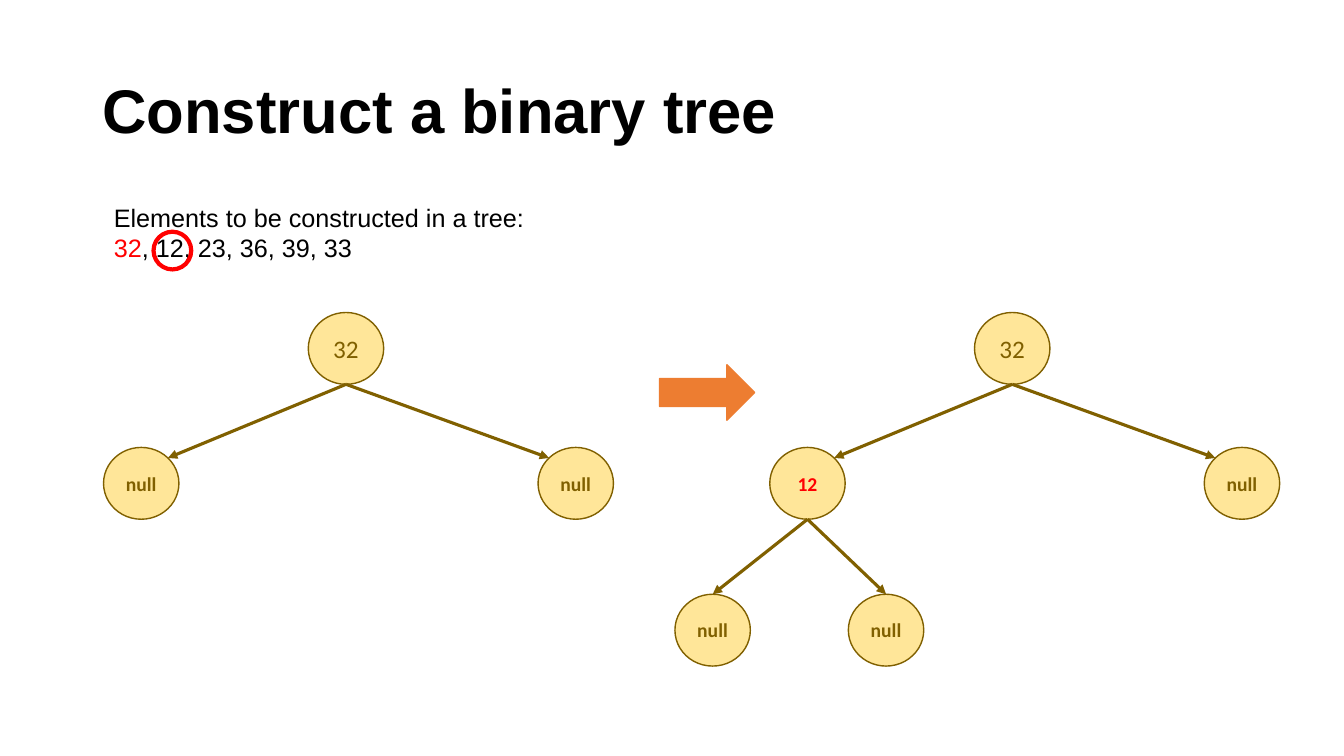
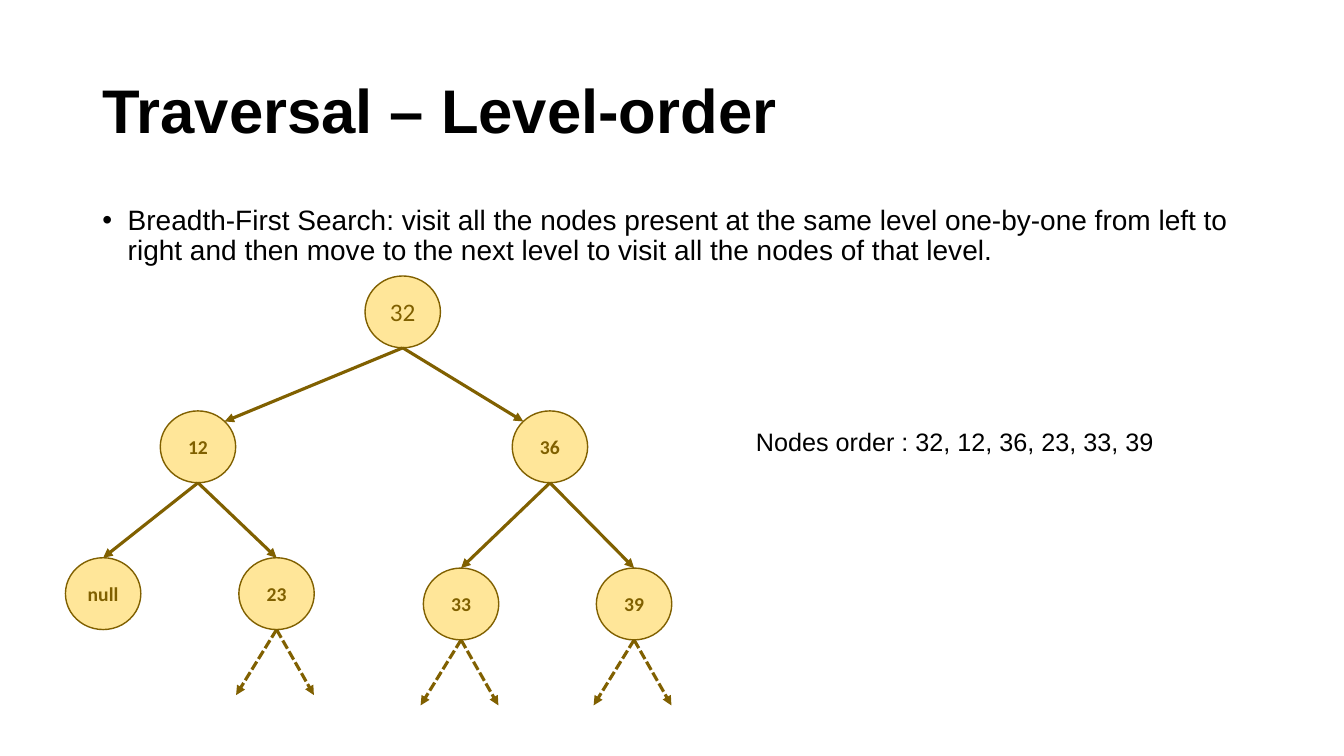
from dataclasses import dataclass

from lxml.etree import SubElement
from pptx import Presentation
from pptx.dml.color import RGBColor
from pptx.enum.dml import MSO_LINE
from pptx.enum.shapes import MSO_CONNECTOR, MSO_SHAPE
from pptx.enum.text import MSO_ANCHOR, PP_ALIGN
from pptx.oxml.ns import qn
from pptx.util import Cm, Pt

BLACK = RGBColor(0x00, 0x00, 0x00)
RED = RGBColor(0xFF, 0x00, 0x00)
OLIVE = RGBColor(0x80, 0x60, 0x00)
CREAM = RGBColor(0xFF, 0xE6, 0x99)
ORANGE = RGBColor(0xED, 0x7D, 0x31)

TEXT_FONT = "Arial"
NODE_FONT = "Calibri"

# Lengths in centimetres
CONTENT_LEFT, CONTENT_WIDTH = 2.33, 29.21
NODE_WIDTH, NODE_HEIGHT = 1.9, 1.81
DIAGONAL = 0.5 ** 0.5
STUB_LEFT, STUB_RIGHT, STUB_DROP = -1.02, 0.94, 1.65


@dataclass
class Node:
    """A tree node; across and down run from its parent's centre to its own."""
    label: str
    across: float = 0
    down: float = 0
    children: tuple = ()
    color: RGBColor = OLIVE
    stubs: bool = False


def add_run(paragraph, text, size, color=BLACK, bold=False, font=TEXT_FONT):
    run = paragraph.add_run()
    run.text = text
    run.font.name = font
    run.font.size = Pt(size)
    run.font.bold = bold
    run.font.color.rgb = color


def add_text_box(slide, left, top, width, height, wrap=True):
    shape = slide.shapes.add_textbox(Cm(left), Cm(top), Cm(width), Cm(height))
    shape.text_frame.word_wrap = wrap
    return shape.text_frame


def add_title(slide, text):
    frame = add_text_box(slide, CONTENT_LEFT, 1.02, CONTENT_WIDTH, 3.68)
    frame.vertical_anchor = MSO_ANCHOR.MIDDLE
    paragraph = frame.paragraphs[0]
    paragraph.line_spacing = 0.9
    add_run(paragraph, text, 44, bold=True)


def add_bullet_text(slide, text):
    frame = add_text_box(slide, CONTENT_LEFT, 5.08, CONTENT_WIDTH, 12.09)
    paragraph = frame.paragraphs[0]
    properties = paragraph._p.get_or_add_pPr()
    properties.set("marL", str(Cm(0.64)))
    properties.set("indent", str(-Cm(0.64)))
    SubElement(properties, qn("a:buFont"), typeface=TEXT_FONT)
    SubElement(properties, qn("a:buChar"), char="•")
    paragraph.line_spacing = 0.9
    add_run(paragraph, text, 20)


def add_preset(slide, kind, left, top, width, height, fill, line, line_width=1):
    shape = slide.shapes.add_shape(kind, Cm(left), Cm(top), Cm(width), Cm(height))
    shape.shadow.inherit = False
    if fill is None:
        shape.fill.background()
    else:
        shape.fill.solid()
        shape.fill.fore_color.rgb = fill
    shape.line.color.rgb = line
    shape.line.width = Pt(line_width)
    return shape


def add_edge(slide, start, end, dashed=False):
    connector = slide.shapes.add_connector(
        MSO_CONNECTOR.STRAIGHT, *(Cm(value) for value in (*start, *end)))
    connector.line.color.rgb = OLIVE
    connector.line.width = Pt(2.25)
    if dashed:
        connector.line.dash_style = MSO_LINE.SQUARE_DOT
    SubElement(connector.line._get_or_add_ln(), qn("a:tailEnd"), type="triangle")
    SubElement(connector._element.spPr, qn("a:effectLst"))


def add_node(slide, node, x, y, is_root):
    shape = add_preset(slide, MSO_SHAPE.OVAL, x - NODE_WIDTH / 2, y - NODE_HEIGHT / 2,
                       NODE_WIDTH, NODE_HEIGHT, CREAM, OLIVE)
    frame = shape.text_frame
    frame.margin_left = frame.margin_right = 0
    frame.vertical_anchor = MSO_ANCHOR.MIDDLE
    paragraph = frame.paragraphs[0]
    paragraph.alignment = PP_ALIGN.CENTER
    add_run(paragraph, node.label, 18 if is_root else 14, node.color,
            not is_root, NODE_FONT)


def add_tree(slide, node, x, y, depth=0):
    """Draw node centred at (x, y) and, below it, its whole subtree."""
    add_node(slide, node, x, y, depth == 0)
    bottom = (x, y + NODE_HEIGHT / 2)
    for child in node.children:
        child_x, child_y = x + child.across, y + child.down
        add_tree(slide, child, child_x, child_y, depth + 1)
        if depth == 0:  # meet the upper inner corner of the wide-set children
            side = -1 if child.across > 0 else 1
            end = (child_x + side * DIAGONAL * NODE_WIDTH / 2,
                   child_y - DIAGONAL * NODE_HEIGHT / 2)
        else:
            end = (child_x, child_y - NODE_HEIGHT / 2)
        add_edge(slide, bottom, end)
    if node.stubs:
        for across in (STUB_RIGHT, STUB_LEFT):
            add_edge(slide, bottom, (x + across, bottom[1] + STUB_DROP), dashed=True)


def add_element_list(slide, left, top):
    """List the elements and ring the one that is inserted next."""
    frame = add_text_box(slide, left, top, 10.95, 1.8, wrap=False)
    add_run(frame.paragraphs[0], "Elements to be constructed in a tree:", 18)
    elements = frame.add_paragraph()
    add_run(elements, "32", 18, RED)
    add_run(elements, ", 12, 23, 36, 39, 33", 18)
    add_preset(slide, MSO_SHAPE.OVAL, left + 1.25, top + 0.86, 0.95, 0.95, None, RED, 3)


def build_construction_slide(slide):
    add_title(slide, "Construct a binary tree")
    root_y = 8.78
    before = Node("32", children=(Node("null", -5.16, 3.4), Node("null", 5.79, 3.4)))
    inserted = Node("12", -5.16, 3.4, color=RED,
                    children=(Node("null", -2.39, 3.7), Node("null", 1.98, 3.7)))
    after = Node("32", children=(inserted, Node("null", 5.79, 3.4)))
    add_tree(slide, before, 8.72, root_y)
    add_preset(slide, MSO_SHAPE.RIGHT_ARROW, 16.62, 9.19, 2.4, 1.4, ORANGE, ORANGE)
    add_tree(slide, after, 25.51, root_y)
    add_element_list(slide, 2.62, 4.98)


def build_traversal_slide(slide):
    add_title(slide, "Traversal – Level-order")
    add_bullet_text(slide, "Breadth-First Search: visit all the nodes present at the same "
                           "level one-by-one from left to right and then move to the next "
                           "level to visit all the nodes of that level.")
    left = Node("12", -5.16, 3.4, children=(
        Node("null", -2.39, 3.7), Node("23", 1.98, 3.7, stubs=True)))
    right = Node("36", 3.71, 3.4, children=(
        Node("33", -2.24, 3.96, stubs=True), Node("39", 2.12, 3.96, stubs=True)))
    add_tree(slide, Node("32", children=(left, right)), 10.15, 7.86)
    order = add_text_box(slide, 18.8, 10.62, 10.62, 1.03, wrap=False)
    add_run(order.paragraphs[0], "Nodes order : 32, 12, 36, 23, 33, 39", 18)


def main():
    presentation = Presentation()
    presentation.slide_width = Cm(33.87)
    presentation.slide_height = Cm(19.05)
    blank = presentation.slide_layouts[6]
    for build in (build_construction_slide, build_traversal_slide):
        build(presentation.slides.add_slide(blank))
    presentation.save("out.pptx")


if __name__ == "__main__":
    main()
